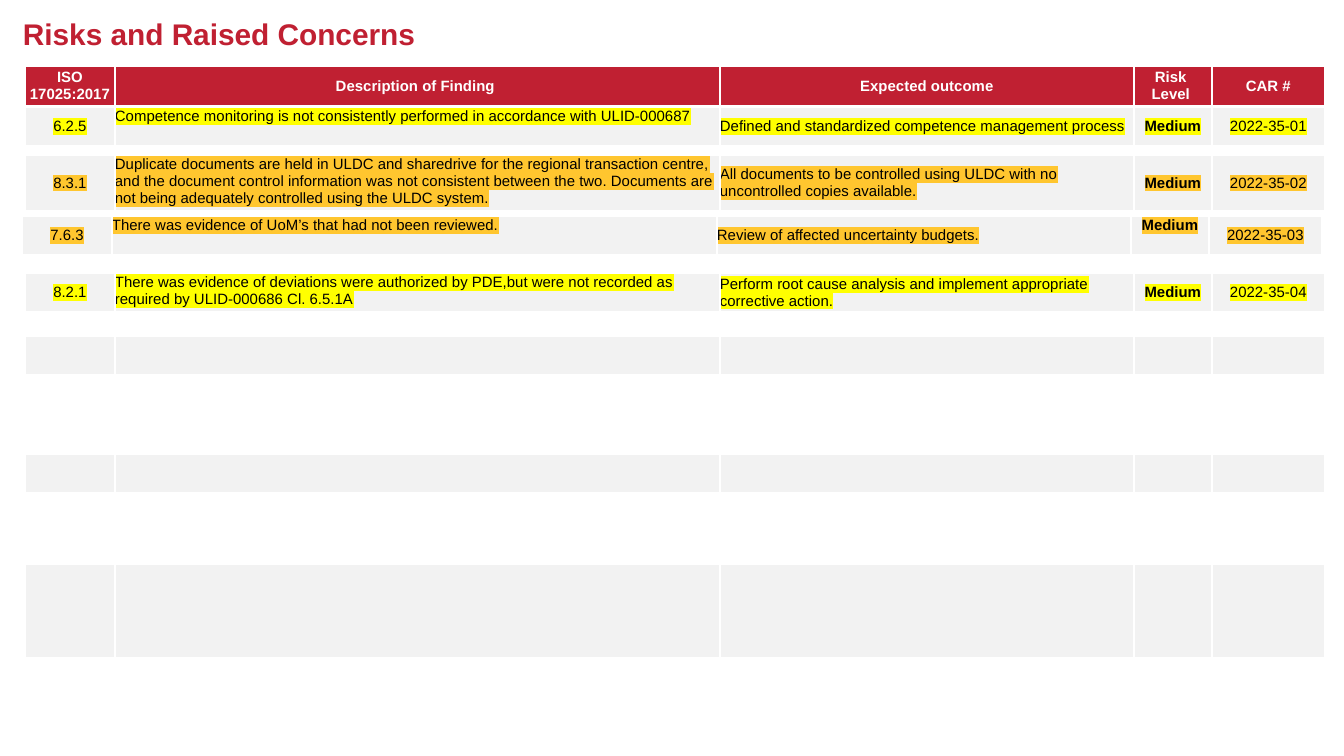
"""Build the slide of risks and raised concerns as a stack of one-row tables."""
from lxml.etree import SubElement as Sub
from pptx import Presentation as Deck
from pptx.dml.color import RGBColor as Rgb
from pptx.enum.text import MSO_ANCHOR as Anchor, PP_ALIGN as Align
from pptx.oxml.ns import qn
from pptx.util import Pt

PX = 914400 / 134.4
PLAIN = "{2D5ABB26-0587-4C30-8999-92F81FD0307C}"
HUES = {"red": "C02032", "white": "FFFFFF", "black": "000000",
        "gray": "F2F2F2", "yellow": "FFFF00", "amber": "FFC62F"}
COLS = [90, 605, 414, 78, 113]
HEADS = ["ISO 17025:2017", "Description of Finding ", "Expected outcome",
         "Risk \nLevel ", "CAR #"]
BLANK = [""] * 5
ROWS = [
    (25, 67, 38, "", HEADS),
    (25, 108, 37, "yellow", [
        "6.2.5",
        "Competence monitoring is not consistently performed in accordance with ULID-000687",
        "Defined and standardized competence management process",
        "Medium", "2022-35-01"]),
    (25, 156, 51, "amber", [
        "8.3.1",
        "Duplicate documents are held in ULDC and sharedrive for the regional transaction "
        "centre, and the document control information was not consistent between the two. "
        "Documents are not being adequately controlled using the ULDC system.",
        "All documents to be controlled using ULDC with no uncontrolled copies available.",
        "Medium", "2022-35-02"]),
    (25, 337, 37, "", BLANK),
    (25, 455, 37, "", BLANK),
    (25, 565, 92, "", BLANK),
    (22, 217, 37, "amber", [
        "7.6.3",
        "There was evidence of UoM’s that had not been reviewed.",
        "Review of affected uncertainty budgets.",
        "Medium", "2022-35-03"]),
    (25, 274, 37, "yellow", [
        "8.2.1",
        "There was evidence of deviations were authorized by PDE,but were not recorded as "
        "required by ULID-000686 Cl. 6.5.1A",
        "Perform root cause analysis and implement appropriate corrective action.",
        "Medium", "2022-35-04"]),
]


def px(*nums):
    return [round(n * PX) for n in nums]


def style(run, size, hue, bold, mark=""):
    run.font.color.rgb = Rgb.from_string(HUES[hue])
    if mark:
        light = Sub(run._r.get_or_add_rPr(), qn("a:highlight"))
        Sub(light, qn("a:srgbClr"), val=HUES[mark])
    look = {"size": Pt(size), "bold": bold, "name": "Arial"}
    for key, val in look.items():
        setattr(run.font, key, val)


deck = Deck()
deck.slide_width, deck.slide_height = px(1344, 756)
slide = deck.slides.add_slide(deck.slide_layouts[6])
flush = {"margin_left": 0, "margin_right": 0, "margin_top": 0, "margin_bottom": 0}

frame = slide.shapes.add_textbox(*px(23, 16, 1255, 36)).text_frame
for key, val in {**flush, "word_wrap": True}.items():
    setattr(frame, key, val)
title = frame.paragraphs[0].add_run()
title.text = "Risks and Raised Concerns"
style(title, 16, "red", True)

for left, top, high, mark, words in ROWS:
    head = words is HEADS
    grid = slide.shapes.add_table(1, 5, *px(left, top, sum(COLS), high)).table
    for key in ("first_row", "horz_banding"):
        setattr(grid, key, False)
    grid._tbl.tblPr.find(qn("a:tableStyleId")).text = PLAIN
    for col, wide in enumerate(COLS):
        grid.columns[col].width = px(wide)[0]
        cell = grid.cell(0, col)
        raised = not head and (col == 1 or (col == 3 and words[0] == "7.6.3"))
        anchor = Anchor.TOP if raised else Anchor.MIDDLE
        for key, val in {**flush, "vertical_anchor": anchor}.items():
            setattr(cell, key, val)
        for side in ("a:lnL", "a:lnR"):
            edge = Sub(cell._tc.get_or_add_tcPr(), qn(side), w=str(Pt(1)))
            Sub(Sub(edge, qn("a:solidFill")), qn("a:srgbClr"), val=HUES["white"])
        cell.fill.solid()
        cell.fill.fore_color.rgb = Rgb.from_string(HUES["red" if head else "gray"])
        cell.text = words[col]
        for para in cell.text_frame.paragraphs:
            para.font.size = Pt(8)
            para.alignment = Align.LEFT if not head and col in (1, 2) else Align.CENTER
            for run in para.runs:
                style(run, 8, "white" if head else "black", head or col == 3, mark)

deck.save("out.pptx")
